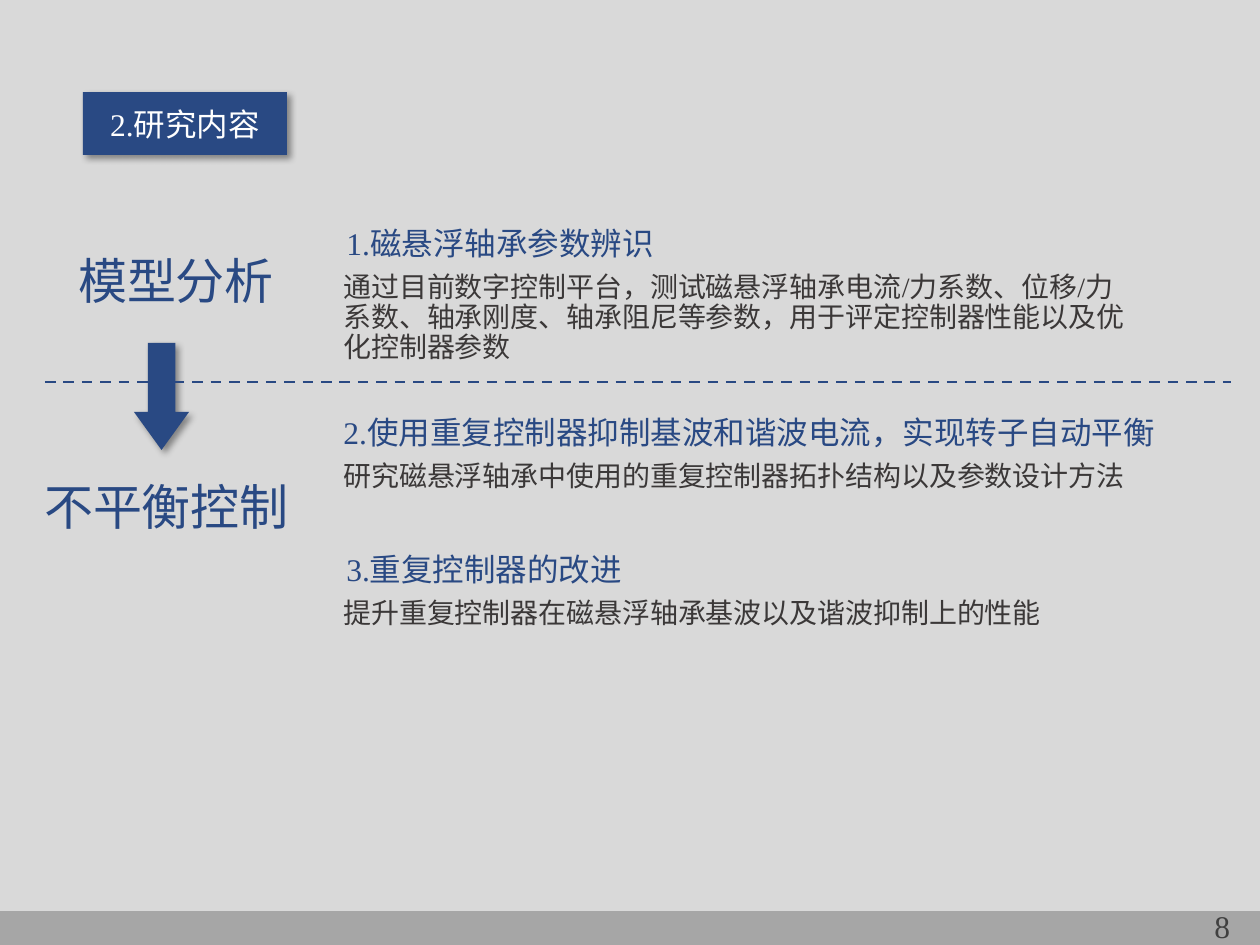
"""Build the research content slide on magnetic bearing control."""
from lxml import etree
from pptx import Presentation
from pptx.dml.color import RGBColor
from pptx.enum.dml import MSO_LINE
from pptx.enum.shapes import MSO_CONNECTOR, MSO_SHAPE
from pptx.enum.text import MSO_ANCHOR, MSO_AUTO_SIZE, PP_ALIGN
from pptx.oxml import parse_xml
from pptx.oxml.ns import nsdecls, qn
from pptx.util import Emu, Pt

RECTANGLE, RIGHT_ARROW = MSO_SHAPE.RECTANGLE, MSO_SHAPE.RIGHT_ARROW
STRAIGHT, DASH = MSO_CONNECTOR.STRAIGHT, MSO_LINE.DASH
LEFT, CENTER = PP_ALIGN.LEFT, PP_ALIGN.CENTER
TOP, MIDDLE = MSO_ANCHOR.TOP, MSO_ANCHOR.MIDDLE
FIXED_SIZE = MSO_AUTO_SIZE.NONE
EMU_PER_PX = 914400 / 126
COLORS = {
    "background": "D9D9D9",
    "navy": "294983",
    "body": "3B3838",
    "title": "FFFFFF",
    "footer": "A6A6A6",
    "number": "404040",
}
FLOWING = {"alignment": LEFT, "line_spacing": 0.9, "space_before": Pt(10)}
STAGE = {**FLOWING, "alignment": CENTER}
PLAIN = {"alignment": LEFT}
SHADOW = (
    f'<a:outerShdw {nsdecls("a")} blurRad="50800" dist="38100" dir="2700000" '
    'algn="tl" rotWithShape="0"><a:srgbClr val="000000"><a:alpha val="40000"/>'
    "</a:srgbClr></a:outerShdw>"
)


def px(*lengths):
    return [Emu(round(length * EMU_PER_PX)) for length in lengths]


def write(shape, text, size, color, paragraph_format, anchor=TOP):
    frame = shape.text_frame
    frame_format = {"word_wrap": True, "auto_size": FIXED_SIZE, "vertical_anchor": anchor}
    for name, value in frame_format.items():
        setattr(frame, name, value)
    paragraph = frame.paragraphs[0]
    for name, value in paragraph_format.items():
        setattr(paragraph, name, value)
    run = paragraph.add_run()
    run.text = text
    for name, value in {"name": "Times New Roman", "size": Pt(size)}.items():
        setattr(run.font, name, value)
    run.font.color.rgb = RGBColor.from_string(COLORS[color])


presentation = Presentation()
presentation.slide_width, presentation.slide_height = px(1260, 945)
slide = presentation.slides.add_slide(presentation.slide_layouts[5])
slide.background.fill.solid()
slide.background.fill.fore_color.rgb = RGBColor.from_string(COLORS["background"])
shapes = slide.shapes

topics = [
    (222, 334, 349, "1.磁悬浮轴承参数辨识", 822, 81,
     "通过目前数字控制平台，测试磁悬浮轴承电流/力系数、位移/力系数、轴承刚度、轴承阻尼等参数，用于评定控制器性能以及优化控制器参数"),
    (411, 331, 900, "2.使用重复控制器抑制基波和谐波电流，实现转子自动平衡", 822, 45,
     "研究磁悬浮轴承中使用的重复控制器拓扑结构以及参数设计方法"),
    (548, 334, 353, "3.重复控制器的改进", 759, 45,
     "提升重复控制器在磁悬浮轴承基波以及谐波抑制上的性能"),
]
for top, left, width, heading, detail_width, detail_height, detail in topics:
    heading_box = shapes.add_textbox(*px(left, top, width, 45))
    write(heading_box, heading, 18, "navy", FLOWING)
    detail_box = shapes.add_textbox(*px(331, top + 45, detail_width, detail_height))
    write(detail_box, detail, 16, "body", FLOWING)

title = shapes.title
title.left, title.top, title.width, title.height = px(83, 92, 204, 63)
write(title, "2.研究内容", 18, "title", {"alignment": CENTER}, MIDDLE)

for stage, left, top, width in [("模型分析", 65, 251, 222), ("不平衡控制", 23, 477, 287)]:
    write(shapes.add_textbox(*px(left, top, width, 57)), stage, 28, "navy", STAGE)

stage_arrow = shapes.add_shape(RIGHT_ARROW, *px(108, 369, 107, 55))
stage_arrow.rotation = 90
stage_arrow.adjustments[1] = 0.69

divider = shapes.add_connector(STRAIGHT, *px(45, 382, 1231, 382))
divider.line.color.rgb = RGBColor.from_string(COLORS["navy"])
for name, value in {"width": Pt(1.5), "dash_style": DASH}.items():
    setattr(divider.line, name, value)
etree.SubElement(divider._element.spPr, qn("a:effectLst"))

footer = shapes.add_shape(RECTANGLE, *px(0, 911, 1260, 34))

for block, color in [(title, "navy"), (stage_arrow, "navy"), (footer, "footer")]:
    block.fill.solid()
    block.fill.fore_color.rgb = RGBColor.from_string(COLORS[color])
    block.line.fill.background()
    block.shadow.inherit = False
for raised in (title, stage_arrow):
    raised._element.spPr.find(qn("a:effectLst")).append(parse_xml(SHADOW))

write(shapes.add_textbox(*px(1202, 901, 55, 50)), "8", 18, "number", PLAIN)

presentation.save("out.pptx")
